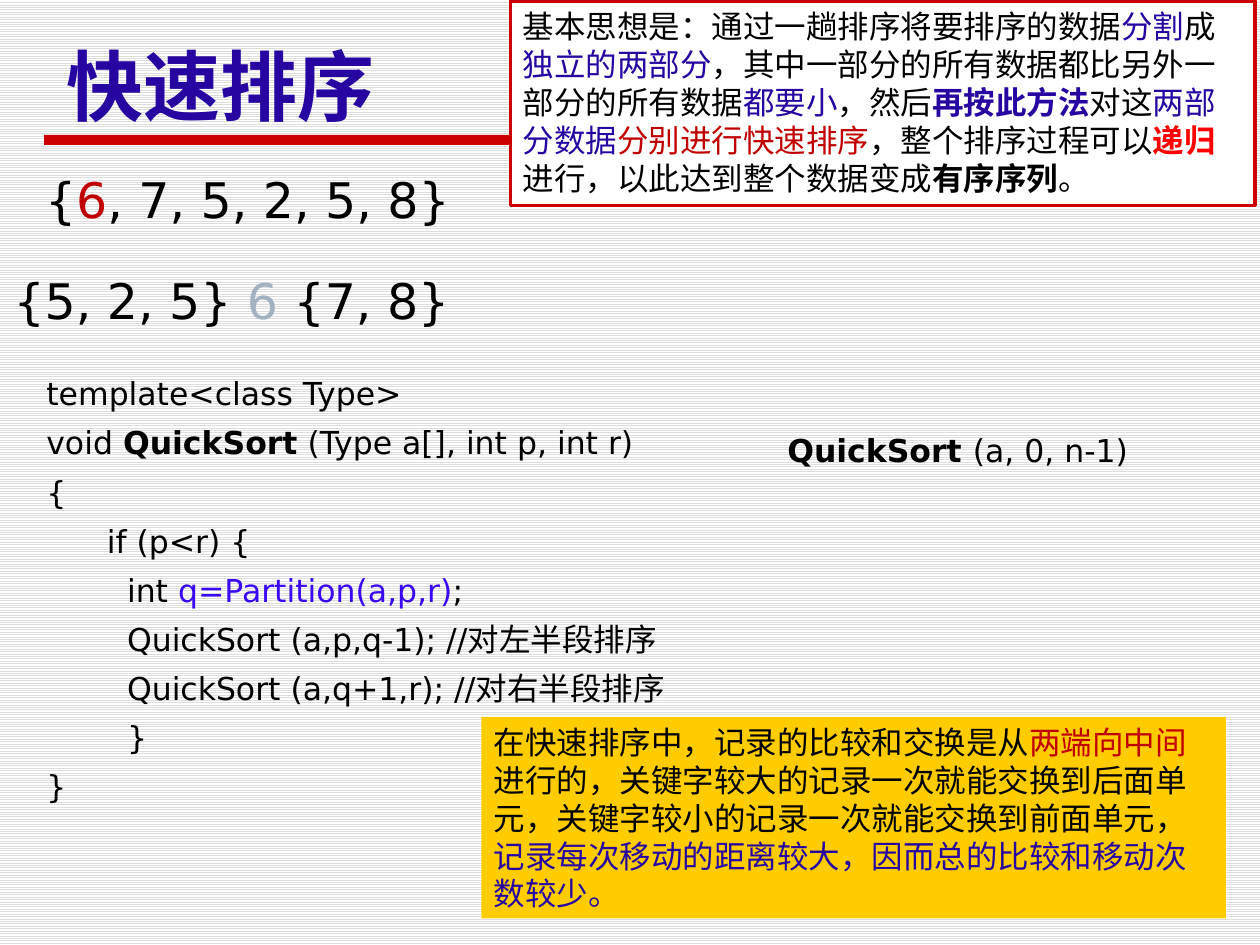
from pptx import Presentation
from pptx.dml.color import RGBColor
from pptx.enum.dml import MSO_PATTERN
from pptx.enum.shapes import MSO_SHAPE
from pptx.enum.text import MSO_ANCHOR, MSO_AUTO_SIZE, PP_ALIGN
from pptx.oxml.ns import qn
from pptx.util import Inches, Pt
from lxml import etree

RECTANGLE = MSO_SHAPE.RECTANGLE
STRIPES = MSO_PATTERN.LIGHT_HORIZONTAL
TOP, MIDDLE = MSO_ANCHOR.TOP, MSO_ANCHOR.MIDDLE
GROW = MSO_AUTO_SIZE.SHAPE_TO_FIT_TEXT
LEFT = PP_ALIGN.LEFT
COLORS = {
    "black": "000000", "white": "FFFFFF", "stripe": "DDDDDD", "bar": "CC0000",
    "navy": "2605A1", "dark_red": "C00000", "red": "FF0000",
    "violet": "3907F1", "gray": "A3B2C1", "gold": "FFCC00",
}
CHINESE, LATIN, MONO = "Noto Sans CJK SC", "DejaVu Sans", "Courier New"


def color(name):
    return RGBColor.from_string(COLORS[name])


class SlideBuilder:
    """Draws styled elements on one slide."""

    def __init__(self, slide):
        self.slide = slide

    def background(self):
        fill = self.slide.background.fill
        fill.patterned()
        fill.pattern = STRIPES
        fill.fore_color.rgb = color("stripe")
        fill.back_color.rgb = color("white")

    def box(self, place, fill, line=None, width=1):
        shape = self.slide.shapes.add_shape(RECTANGLE, *map(Inches, place))
        shape.shadow.inherit = False
        shape.fill.solid()
        shape.fill.fore_color.rgb = color(fill)
        if line:
            shape.line.color.rgb = color(line)
            shape.line.width = Pt(width)
        else:
            shape.line.fill.background()
        return shape

    def text(self, place, paragraphs, **style):
        shape = self.slide.shapes.add_textbox(*map(Inches, place))
        self.fill_text(shape, paragraphs, **style)

    def fill_text(self, shape, paragraphs, size=18, font=CHINESE, anchor=TOP,
                  wrap=True, grow=True, spacing=None, indents=None):
        frame = shape.text_frame
        frame.word_wrap = wrap
        frame.vertical_anchor = anchor
        if grow:
            frame.auto_size = GROW
        for index, runs in enumerate(paragraphs):
            paragraph = frame.add_paragraph() if index else frame.paragraphs[0]
            paragraph.alignment = LEFT
            if spacing:
                paragraph.line_spacing = spacing
            if indents and indents[index]:
                properties = paragraph._p.get_or_add_pPr()
                properties.set("marL", str(Inches(indents[index])))
            for run in runs:
                self.add_text_run(paragraph, size, font, *run)

    def add_text_run(self, paragraph, size, font, text, tint="black", bold=False):
        run = paragraph.add_run()
        run.text = text
        run.font.size = Pt(size)
        run.font.name = font
        run.font.bold = bold
        run.font.color.rgb = color(tint)
        east_asian = etree.Element(qn("a:ea"), typeface=CHINESE)
        run._r.rPr.find(qn("a:latin")).addnext(east_asian)


presentation = Presentation()
presentation.slide_width, presentation.slide_height = Inches(10), Inches(7.5)
builder = SlideBuilder(presentation.slides.add_slide(presentation.slide_layouts[6]))

builder.background()
builder.box((0.35, 1.07, 5.26, 0.08), "bar")
builder.text((0.43, 0.05, 8.5, 1.25), [[("快速排序", "navy", True)]],
             size=44, anchor=MIDDLE, grow=False)

advantage = builder.box((3.82, 5.69, 5.91, 1.6), "gold")
builder.fill_text(advantage, [
    [("在快速排序中，记录的比较和交换是从",), ("两端向中间", "dark_red")],
    [("进行的，关键字较大的记录一次就能交换到后面单",)],
    [("元，关键字较小的记录一次就能交换到前面单元，",)],
    [("记录每次移动的距离较大，因而总的比较和移动次", "navy")],
    [("数较少。", "navy")],
])

code = [
    (0, [("template<class Type>",)]),
    (0, [("void ",), ("QuickSort", "black", True), (" (Type a[], int p, int r)",)]),
    (0, [("{",)]),
    (0.48, [("if (p<r) {",)]),
    (0.64, [("int ",), ("q=Partition(a,p,r)", "violet"), (";",)]),
    (0.64, [("QuickSort (a,p,q-1); //对左半段排序",)]),
    (0.64, [("QuickSort (a,q+1,r); //对右半段排序",)]),
    (0.64, [("}",)]),
    (0, [("}",)]),
]
builder.text((0.27, 2.81, 8.9, 3.65), [runs for _, runs in code], font=LATIN,
             anchor=MIDDLE, spacing=1.3, indents=[indent for indent, _ in code])

labels = [
    ((6.15, 3.37, 3.02, 0.4), 18,
     [("QuickSort ", "black", True), ("(a, 0, n-1)",)]),
    ((0.26, 1.3, 3.56, 0.57), 28,
     [("{",), ("6", "dark_red"), (", 7, 5, 2, 5, 8}",)]),
    ((0.01, 2.1, 3.77, 0.57), 28,
     [("{5, 2, 5} ",), ("6", "gray"), (" {7, 8}",)]),
]
for place, size, runs in labels:
    builder.text(place, [runs], size=size, font=LATIN, wrap=False)

idea = builder.box((4.05, 0.01, 5.91, 1.62), "white", "bar", 2)
builder.fill_text(idea, [[
    ("基本思想是：通过一趟排序将要排序的数据",), ("分割", "navy"), ("成",),
    ("独立的两部分", "navy"),
    ("，其中一部分的所有数据都比另外一部分的所有数据",),
    ("都要小", "navy"), ("，然后",), ("再按此方法", "navy", True), ("对这",),
    ("两部分数据", "navy"), ("分别进行快速排序", "dark_red"),
    ("，整个排序过程可以",), ("递归", "red", True),
    ("进行，以此达到整个数据变成",), ("有序序列", "black", True), ("。",),
]], font=MONO)

presentation.save("out.pptx")
